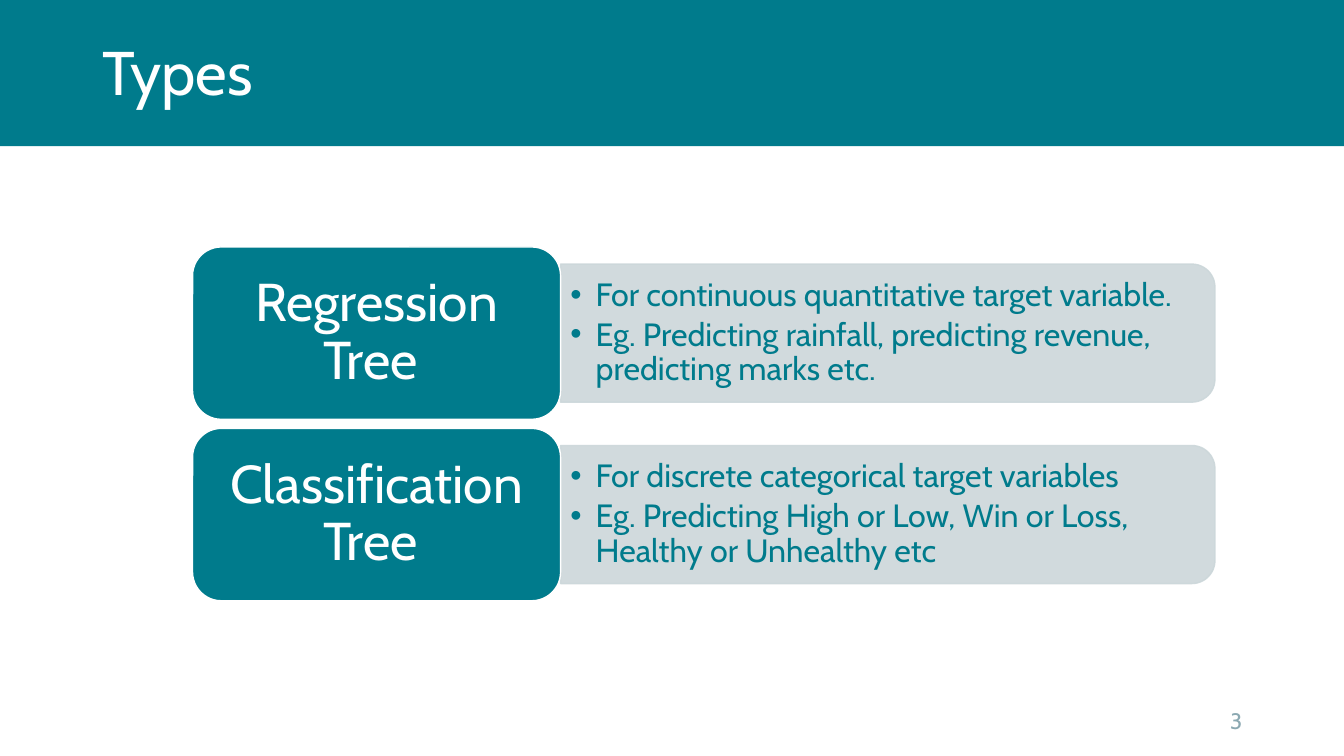
from pptx import Presentation
from pptx.dml.color import RGBColor
from pptx.enum.shapes import MSO_SHAPE
from pptx.enum.text import MSO_ANCHOR, PP_ALIGN
from pptx.oxml.ns import qn
from pptx.util import Inches, Pt
from lxml.etree import SubElement

# Content
TITLE = "Types"
PAGE = "3"
TREES = [
    ("Regression Tree ", [
        "For continuous quantitative target variable.",
        "Eg. Predicting rainfall, predicting revenue, predicting marks etc."]),
    ("Classification Tree ", [
        "For discrete categorical target variables",
        "Eg. Predicting High or Low, Win or Loss, Healthy or Unhealthy etc"]),
]

# Style and grid, in inches
FONT, TEAL, PALE, GREY, WHITE = "Cabin", "007B8C", "CCD7DA", "8CA9B2", "FFFFFF"
W, H = 13.33, 7.5
BAND_H = 1.45
LEFT, TOP, PITCH = 1.91, 2.45, 1.8
LABEL_W, LABEL_H = 3.65, 1.71
PANEL_W, PANEL_H = 6.49, 1.37
TEXT_W, TEXT_H = 6.42, 1.24


def rgb(value):
    return RGBColor.from_string(value)


def write(shape, lines, size, color, align=PP_ALIGN.LEFT, spacing=None,
          after=0, bullet=False, inset=(0.1, 0.05)):
    tf = shape.text_frame
    tf.word_wrap = True
    tf.vertical_anchor = MSO_ANCHOR.MIDDLE
    tf.margin_left = tf.margin_right = Inches(inset[0])
    tf.margin_top = tf.margin_bottom = Inches(inset[1])
    for i, line in enumerate(lines):
        p = tf.paragraphs[0] if i == 0 else tf.add_paragraph()
        p.alignment, p.line_spacing, p.space_after = align, spacing, Pt(after)
        if bullet:
            pPr = p._p.get_or_add_pPr()
            pPr.set("marL", str(Inches(0.25)))
            pPr.set("indent", str(Inches(-0.25)))
            SubElement(pPr, qn("a:buFont")).set("typeface", "Arial")
            SubElement(pPr, qn("a:buChar")).set("char", "•")
        r = p.add_run()
        r.text = line
        r.font.name, r.font.size, r.font.color.rgb = FONT, Pt(size), rgb(color)


def block(s, kind, x, y, w, h, fill, line=None, opacity=None):
    sp = s.shapes.add_shape(kind, Inches(x), Inches(y), Inches(w), Inches(h))
    sp.shadow.inherit = False
    sp.fill.solid()
    sp.fill.fore_color.rgb = rgb(fill)
    if line:
        sp.line.color.rgb = rgb(line)
        sp.line.width = Pt(1)
    else:
        sp.line.fill.background()
    if opacity:
        for clr in sp._element.spPr.iter(qn("a:srgbClr")):
            SubElement(clr, qn("a:alpha")).set("val", str(opacity * 1000))
    return sp


def text_box(s, x, y, w, h):
    return s.shapes.add_textbox(Inches(x), Inches(y), Inches(w), Inches(h))


def main():
    prs = Presentation()
    prs.slide_width, prs.slide_height = Inches(W), Inches(H)
    s = prs.slides.add_slide(prs.slide_layouts[5])

    # Header band behind the title
    band = block(s, MSO_SHAPE.RECTANGLE, 0, 0, W, BAND_H, TEAL)
    title = s.shapes.title
    title._element.addprevious(band._element)
    title.left, title.top = Inches(0.92), Inches(0.02)
    title.width, title.height = Inches(11.5), Inches(BAND_H)
    write(title, [TITLE], 44, WHITE, spacing=0.9)

    # One row per tree type: panel, bullets, label
    panel_x = LEFT + LABEL_W
    for row, (name, points) in enumerate(TREES):
        y = TOP + row * PITCH
        mid = y + LABEL_H / 2
        # The panel stands upright and is turned about its centre
        panel = block(s, MSO_SHAPE.ROUND_2_SAME_RECTANGLE,
                      panel_x + (PANEL_W - PANEL_H) / 2, mid - PANEL_W / 2,
                      PANEL_H, PANEL_W, PALE, line=PALE, opacity=90)
        panel.rotation = 90
        bullets = text_box(s, panel_x, mid - TEXT_H / 2, TEXT_W, TEXT_H)
        write(bullets, points, 23, TEAL, spacing=0.9, after=3.5, bullet=True)
        label = block(s, MSO_SHAPE.ROUNDED_RECTANGLE, LEFT, y,
                      LABEL_W, LABEL_H, TEAL, line=WHITE)
        write(label, [name], 38, WHITE, align=PP_ALIGN.CENTER, spacing=0.9,
              inset=(0.16, 0.08))

    # Page number
    write(text_box(s, 9.42, 6.95, 3, 0.4), [PAGE], 16, GREY,
          align=PP_ALIGN.RIGHT)

    prs.save("out.pptx")


if __name__ == "__main__":
    main()
